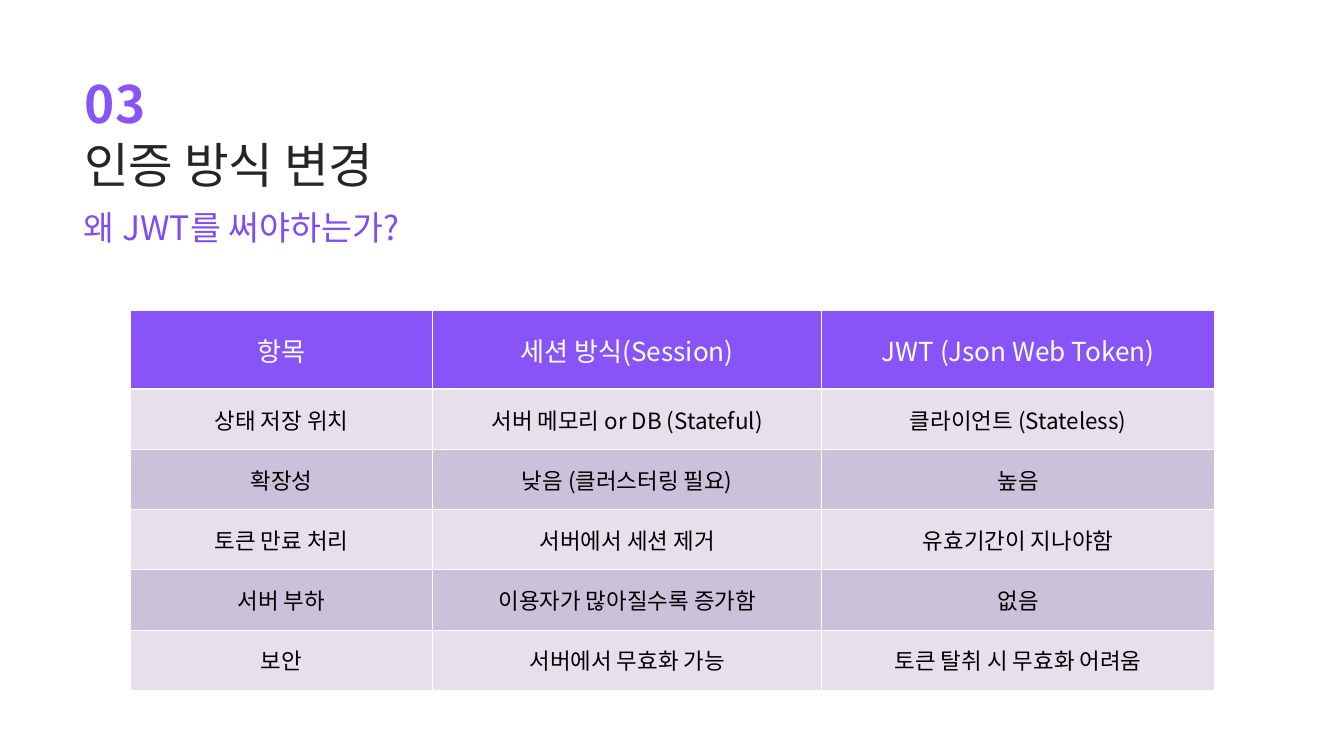
"""Build the slide that compares session and JWT authentication."""
from lxml import etree
from pptx import Presentation, util as u
from pptx.dml.color import RGBColor
from pptx.enum import text
from pptx.oxml import ns

PX = 9525
FONT = "Noto Sans CJK KR"
PURPLE = RGBColor(0x88, 0x54, 0xF7)
VIOLET = RGBColor(0x80, 0x4B, 0xF7)
INK = RGBColor(0x25, 0x25, 0x25)
BLACK = RGBColor(0, 0, 0)
WHITE = RGBColor(0xFF, 0xFF, 0xFF)
LIGHT_BAND = RGBColor(0xE6, 0xE0, 0xEC)
DARK_BAND = RGBColor(0xCC, 0xC1, 0xDA)

COLUMNS = (432, 556, 561)
HEADER_HEIGHT, ROW_HEIGHT = 112, 86
COMPARISON = (
    ("항목", "세션 방식(Session)", "JWT (Json Web Token)"),
    ("상태 저장 위치", "서버 메모리 or DB (Stateful)", "클라이언트 (Stateless)"),
    ("확장성", "낮음 (클러스터링 필요)", "높음"),
    ("토큰 만료 처리", "서버에서 세션 제거", "유효기간이 지나야함"),
    ("서버 부하", "이용자가 많아질수록 증가함", "없음"),
    ("보안", "서버에서 무효화 가능", "토큰 탈취 시 무효화 어려움"),
)


def px(*lengths):
    """Turn whole pixels into EMU lengths."""
    return [u.Emu(length * PX) for length in lengths]


def add_run(paragraph, words, size, color, bold=False):
    """Add one run in the slide font, for Latin and Korean alike."""
    run = paragraph.add_run()
    run.text = words
    run.font.name = FONT
    run.font.size = u.Pt(size)
    run.font.bold = bold
    run.font.color.rgb = color
    properties = run.font._element
    etree.SubElement(properties, ns.qn("a:ea"), typeface=FONT)
    return properties


def set_heading(box, place, words, size, color, leading, anchor=text.MSO_ANCHOR.TOP, bold=False):
    """Place a heading line and write its text."""
    box.left, box.top, box.width, box.height = px(*place)
    frame = box.text_frame
    frame.margin_left = frame.margin_top = frame.margin_right = frame.margin_bottom = 0
    frame.word_wrap = True
    frame.auto_size = text.MSO_AUTO_SIZE.SHAPE_TO_FIT_TEXT
    frame.vertical_anchor = anchor
    paragraph = frame.paragraphs[0]
    paragraph.alignment = text.PP_ALIGN.LEFT
    paragraph.line_spacing = u.Pt(leading)
    paragraph.space_before = u.Pt(0)
    return add_run(paragraph, words, size, color, bold)


def set_borders(cell, row):
    """Rule a cell in white, with a thicker line under the header."""
    for side in ("L", "R", "T", "B"):
        under_header = (row, side) in ((0, "B"), (1, "T"))
        line = etree.SubElement(cell._tc.get_or_add_tcPr(), ns.qn(f"a:ln{side}"),
                                w=str(u.Pt(3 if under_header else 1)))
        fill = etree.SubElement(line, ns.qn("a:solidFill"))
        etree.SubElement(fill, ns.qn("a:srgbClr"), val=str(WHITE))


def set_cell(cell, row, words):
    """Fill, rule and write one cell of the comparison."""
    set_borders(cell, row)
    if row == 0:
        background, size, color = PURPLE, 28, WHITE
    else:
        background, size, color = (LIGHT_BAND if row % 2 else DARK_BAND), 24, BLACK
    cell.fill.solid()
    cell.fill.fore_color.rgb = background
    cell.vertical_anchor = text.MSO_ANCHOR.MIDDLE
    paragraph = cell.text_frame.paragraphs[0]
    paragraph.alignment = text.PP_ALIGN.CENTER
    add_run(paragraph, words, size, color)


def add_comparison(slide, left, top):
    """Add the table of session against JWT."""
    heights = [HEADER_HEIGHT] + [ROW_HEIGHT] * (len(COMPARISON) - 1)
    place = px(left, top, sum(COLUMNS), sum(heights))
    table = slide.shapes.add_table(len(COMPARISON), len(COLUMNS), *place).table
    for column, width in zip(table.columns, px(*COLUMNS)):
        column.width = width
    for table_row, height in zip(table.rows, px(*heights)):
        table_row.height = height
    for row, entries in enumerate(COMPARISON):
        for column, words in enumerate(entries):
            set_cell(table.cell(row, column), row, words)


def main():
    """Build and save the slide."""
    deck = Presentation()
    deck.slide_width, deck.slide_height = px(1920, 1080)
    slide = deck.slides.add_slide(deck.slide_layouts[5])

    number = slide.shapes.add_textbox(0, 0, 0, 0)
    digits = set_heading(number, (120, 44, 147, 133), "03", 55, PURPLE, 110, bold=True)
    digits.set("spc", "130")
    set_heading(slide.shapes.title, (120, 137, 557, 126), "인증 방식 변경", 52, INK, 104)
    question = slide.shapes.add_textbox(0, 0, 0, 0)
    set_heading(question, (120, 309, 1056, 47), "왜 JWT를 써야하는가?", 36, VIOLET, 32.1,
                text.MSO_ANCHOR.MIDDLE)
    add_comparison(slide, 186, 444)

    deck.save("out.pptx")


if __name__ == "__main__":
    main()
